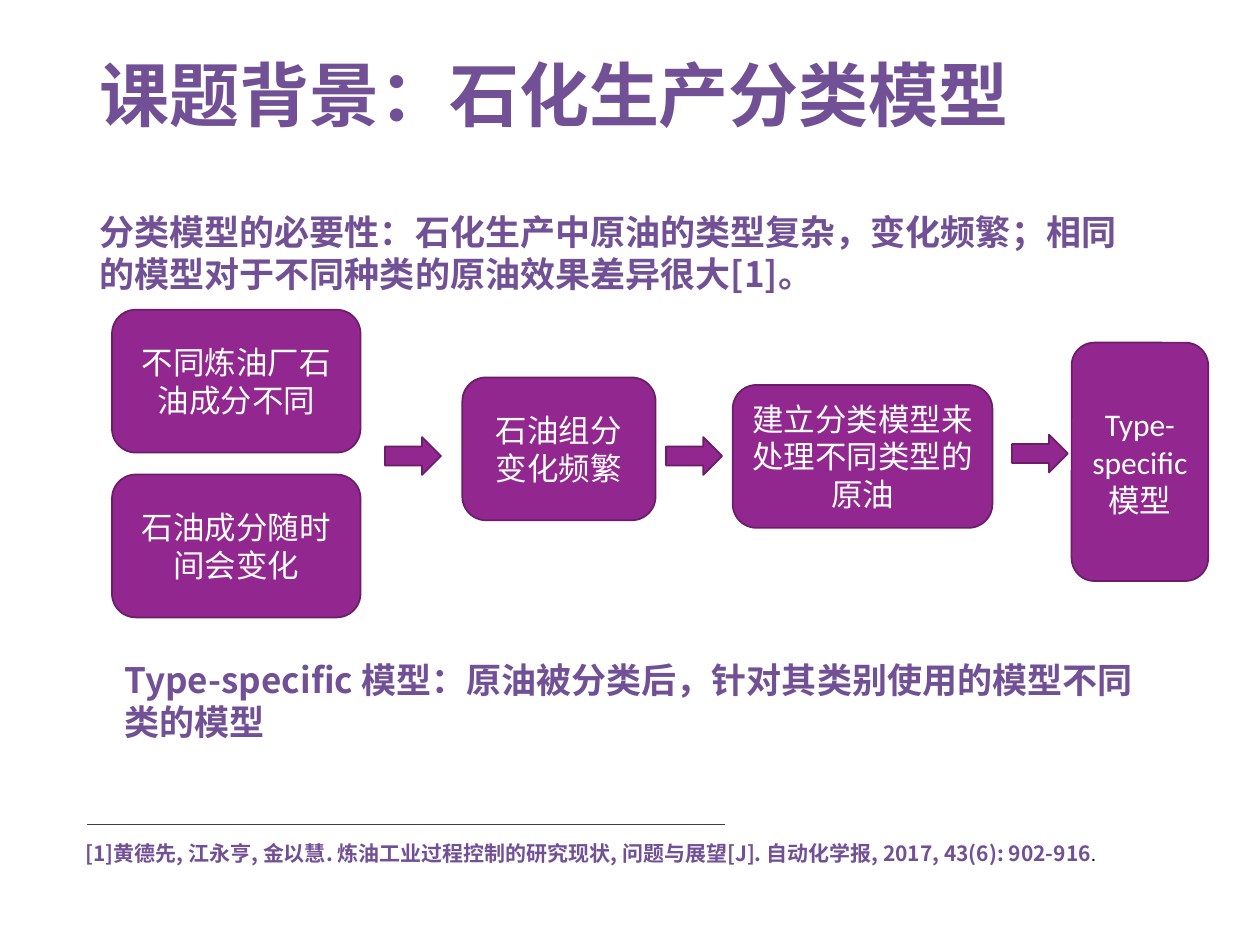
"""Build the slide on classification models in petrochemical production."""
import pptx
import pptx.util
import pptx.dml.color
import pptx.enum.shapes
import pptx.enum.text
import lxml.etree
from dataclasses import dataclass

Pt = pptx.util.Pt
Shape = pptx.enum.shapes.MSO_SHAPE
Align = pptx.enum.text.PP_ALIGN
Anchor = pptx.enum.text.MSO_ANCHOR


@dataclass(frozen=True)
class Theme:
    head: str = "Noto Sans CJK SC"
    text: str = "Calibri"
    violet: str = "715096"
    fill: str = "92278F"
    edge: str = "6C1D6A"
    white: str = "FFFFFF"
    black: str = "000000"
    rule: str = "404040"
    title: int = 40
    lead: int = 20
    box: int = 18
    note: int = 12
    dot: int = 11


THEME = Theme()
TITLE = "课题背景：石化生产分类模型"
NEED = "分类模型的必要性：石化生产中原油的类型复杂，变化频繁；相同的模型对于不同种类的原油效果差异很大[1]。"
MODEL = "Type-specific 模型：原油被分类后，针对其类别使用的模型不同类的模型"
SOURCE = "[1]黄德先, 江永亨, 金以慧. 炼油工业过程控制的研究现状, 问题与展望[J]. 自动化学报, 2017, 43(6): 902-916"
TALL = 81.6
BOXES = [
    ("不同炼油厂石油成分不同", 64, 177, 142, TALL),
    ("石油成分随时间会变化", 64, 271.2, 142, TALL),
    ("石油组分变化频繁", 264.2, 215.7, 110.4, TALL),
    ("建立分类模型来处理不同类型的原油", 418.7, 220, 148.4, TALL),
    ("Type-specific模型", 612.4, 195.8, 78, 136.2),
]
ARROWS = [(220, 249.8), (380.6, 249.8), (578.2, 248.4)]
ARROW = (32, 21.6)
LEAD = (600, 55.4)
RULE = (49.7, 470.9, 364.3)


def tint(code):
    return pptx.dml.color.RGBColor.from_string(code)


def style(font, face, size, color, bold=False):
    font.name, font.size, font.bold = face, Pt(size), bold
    font.color.rgb = tint(color)
    if face == THEME.head:
        latin = font._element.find(pptx.oxml.ns.qn("a:latin"))
        east = lxml.etree.Element(pptx.oxml.ns.qn("a:ea"), typeface=face)
        latin.addnext(east)


def place(shape, left, top, width, height):
    shape.left, shape.top = Pt(left), Pt(top)
    shape.width, shape.height = Pt(width), Pt(height)


def lead(shape, text, left, top):
    place(shape, left, top, *LEAD)
    frame = shape.text_frame
    frame.word_wrap = True
    frame.auto_size = pptx.enum.text.MSO_AUTO_SIZE.NONE
    frame.margin_top = Pt(6)
    frame.text = text
    para = frame.paragraphs[0]
    para.space_before, para.line_spacing = Pt(12), Pt(24)
    style(para.font, THEME.head, THEME.lead, THEME.violet, True)
    return para


def block(shapes, kind, left, top, width, height):
    shape = shapes.add_shape(kind, Pt(left), Pt(top), Pt(width), Pt(height))
    shape.shadow.inherit = False
    shape.fill.solid()
    shape.fill.fore_color.rgb = tint(THEME.fill)
    shape.line.color.rgb = tint(THEME.edge)
    shape.line.width = Pt(1)
    return shape


def label(shape, text):
    frame = shape.text_frame
    frame.word_wrap = True
    frame.vertical_anchor = Anchor.MIDDLE
    frame.text = text
    para = frame.paragraphs[0]
    para.alignment = Align.CENTER
    style(para.font, THEME.text, THEME.box, THEME.white)


def header(shape):
    place(shape, 49.7, 28.8, 620.6, 55.4)
    frame = shape.text_frame
    frame.vertical_anchor = Anchor.MIDDLE
    frame.auto_size = pptx.enum.text.MSO_AUTO_SIZE.NONE
    frame.text = TITLE
    para = frame.paragraphs[0]
    para.alignment, para.line_spacing = Align.LEFT, 0.9
    style(para.font, THEME.head, THEME.title, THEME.violet, True)


def footer(shapes):
    left, top, width = RULE
    rule = shapes.add_connector(pptx.enum.shapes.MSO_CONNECTOR.STRAIGHT,
                                Pt(left), Pt(top), Pt(left + width), Pt(top))
    rule.line.color.rgb = tint(THEME.rule)
    rule.line.width = Pt(0.5)
    lxml.etree.SubElement(rule._element.spPr, pptx.oxml.ns.qn("a:effectLst"))
    note = shapes.add_textbox(Pt(41.8), Pt(476.6), Pt(636.5), Pt(21.6))
    note.text_frame.word_wrap = True
    para = note.text_frame.paragraphs[0]
    para.line_spacing = Pt(14.4)
    for text, look in [
        (SOURCE, (THEME.head, THEME.note, THEME.violet, True)),
        (".", (THEME.text, THEME.dot, THEME.black)),
    ]:
        run = para.add_run()
        run.text = text
        style(run.font, *look)


def main():
    deck = pptx.Presentation()
    deck.slide_width, deck.slide_height = Pt(720), Pt(540)
    slide = deck.slides.add_slide(deck.slide_layouts[1])
    shapes = slide.shapes
    header(shapes.title)
    props = lead(slide.placeholders[1], NEED, 49.7, 114.5)._p.get_or_add_pPr()
    props.set("marL", "0")
    props.set("indent", "0")
    bullet = lxml.etree.Element(pptx.oxml.ns.qn("a:buNone"))
    props.find(pptx.oxml.ns.qn("a:defRPr")).addprevious(bullet)
    for text, *spot in BOXES:
        label(block(shapes, Shape.ROUNDED_RECTANGLE, *spot), text)
    for spot in ARROWS:
        block(shapes, Shape.RIGHT_ARROW, *spot, *ARROW)
    lead(shapes.add_textbox(0, 0, 0, 0), MODEL, 64, 370)
    footer(shapes)
    deck.save("out.pptx")


if __name__ == "__main__":
    main()
